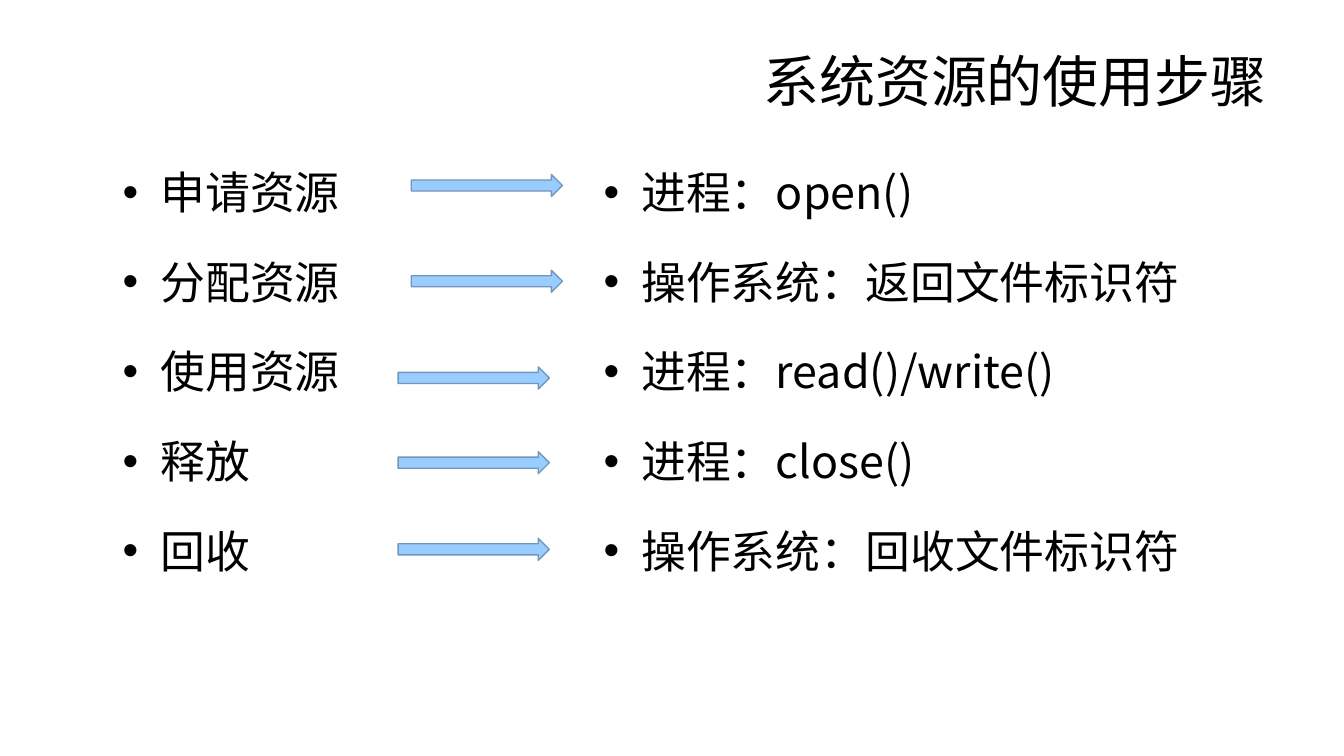
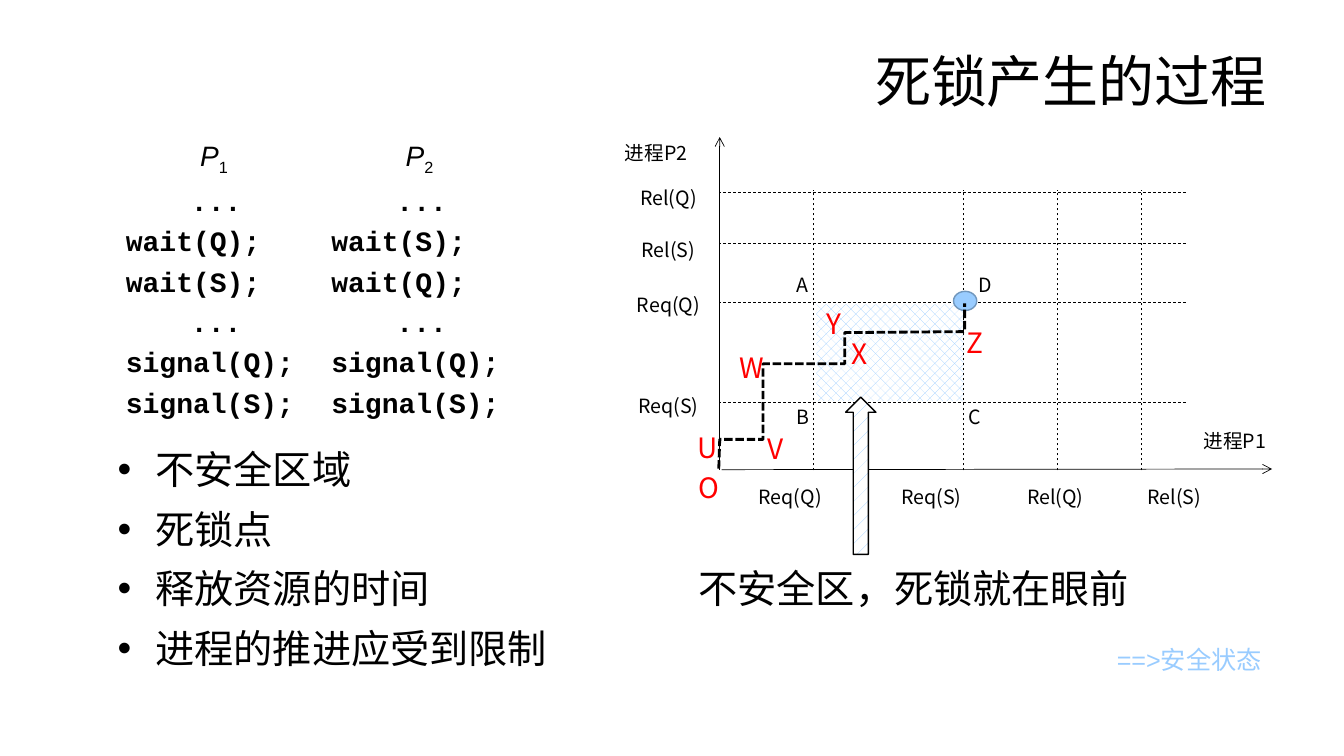
import dataclasses

import lxml.etree
import pptx
import pptx.dml.color
import pptx.enum.dml
import pptx.enum.shapes
import pptx.enum.text
import pptx.oxml.ns
import pptx.util

Pt = pptx.util.Pt
RGB = pptx.dml.color.RGBColor.from_string
SHAPE = pptx.enum.shapes.MSO_SHAPE
DASH = pptx.enum.dml.MSO_LINE
PATTERN = pptx.enum.dml.MSO_PATTERN
ALIGN = pptx.enum.text.PP_ALIGN
ANCHOR = pptx.enum.text.MSO_ANCHOR
qn = pptx.oxml.ns.qn


@dataclasses.dataclass(frozen=True)
class Theme:
    ink: str = "000000"
    paper: str = "FFFFFF"
    accent: str = "99CCFF"
    edge: str = "7197BD"
    alert: str = "FF0000"
    arial: str = "Arial"
    mono: str = "Courier New"
    sans: str = "Noto Sans CJK SC"
    title: int = 40
    large: int = 32
    body: int = 28
    code: int = 20
    note: int = 18
    label: int = 14


class Deck:
    def __init__(self, theme):
        self.theme = theme
        self.deck = pptx.Presentation()
        self.deck.slide_width, self.deck.slide_height = Pt(960), Pt(540)
        self.page = None

    def add_page(self, title):
        self.page = self.deck.slides.add_slide(self.deck.slide_layouts[5])
        box = self.page.shapes.title
        place = {"left": 48, "top": 21.6, "width": 864, "height": 71.3}
        for name, value in place.items():
            setattr(box, name, Pt(value))
        frame = box.text_frame
        frame.auto_size = pptx.enum.text.MSO_AUTO_SIZE.NONE
        frame.vertical_anchor = ANCHOR.MIDDLE
        frame.paragraphs[0].alignment = ALIGN.RIGHT
        self.span(frame.paragraphs[0], title, self.theme.title, self.theme.arial)

    def span(self, para, text, size, font, color=None, **values):
        span = para.add_run()
        span.text = text
        for name, value in {"size": Pt(size), "name": font, **values}.items():
            setattr(span.font, name, value)
        span.font.color.rgb = RGB(color or self.theme.ink)
        asian = lxml.etree.SubElement(span.font._element, qn("a:ea"))
        asian.set("typeface", self.theme.sans)
        return span

    def text_box(self, left, top, width, height):
        box = self.page.shapes.add_textbox(Pt(left), Pt(top), Pt(width), Pt(height))
        box.text_frame.word_wrap = True
        return box.text_frame

    def paragraphs(self, frame, items):
        for index, item in enumerate(items):
            para = frame.add_paragraph() if index else frame.paragraphs[0]
            yield index, para, item

    def bullets(self, place, items, size, pitch):
        for index, para, item in self.paragraphs(self.text_box(*place), items):
            style = para._p.get_or_add_pPr()
            style.set("marL", str(Pt(27)))
            style.set("indent", str(Pt(-27)))
            lxml.etree.SubElement(style, qn("a:buFont")).set("typeface", self.theme.arial)
            lxml.etree.SubElement(style, qn("a:buChar")).set("char", "•")
            para.line_spacing = Pt(pitch)
            para.space_before = Pt(size * 0.2 if index else 0)
            self.span(para, item, size, self.theme.sans)

    def line_of_text(self, place, text, size, font, pitch, color=None):
        para = self.text_box(*place).paragraphs[0]
        para.line_spacing = Pt(pitch)
        self.span(para, text, size, font, color)

    def code(self, place, number, lines):
        theme = self.theme
        for index, para, line in self.paragraphs(self.text_box(*place), ["P", *lines]):
            para.line_spacing = Pt(28.8)
            if line in ("P", "..."):
                para.alignment = ALIGN.CENTER
            if index:
                self.span(para, line, theme.code, theme.mono, bold=True)
            else:
                self.span(para, line, theme.code, theme.arial, italic=True)
                lower = self.span(para, f"{number} ", theme.code, theme.arial)
                lower.font._element.set("baseline", "-25000")

    def label(self, x, y, text, size, color=None):
        frame = self.text_box(x - 37, y - 20, 74, 40)
        for side in ("left", "top", "right", "bottom"):
            setattr(frame, f"margin_{side}", 0)
        frame.vertical_anchor = ANCHOR.MIDDLE
        frame.paragraphs[0].alignment = ALIGN.CENTER
        self.span(frame.paragraphs[0], text, size, self.theme.sans, color)

    def shape(self, kind, place, edge=None, pattern=None):
        shape = self.page.shapes.add_shape(kind, *map(Pt, place))
        shape.shadow.inherit = False
        if pattern is None:
            shape.fill.solid()
        else:
            shape.fill.patterned()
            shape.fill.pattern = pattern
            shape.fill.back_color.rgb = RGB(self.theme.paper)
        shape.fill.fore_color.rgb = RGB(self.theme.accent)
        if edge:
            self.stroke(shape.line, 1, edge)
        else:
            shape.line.fill.background()

    def stroke(self, line, width, color, dash=None):
        line.width = Pt(width)
        line.color.rgb = RGB(color)
        if dash:
            line.dash_style = dash

    def line(self, start, end, dash=None, arrow=False):
        kind = pptx.enum.shapes.MSO_CONNECTOR.STRAIGHT
        line = self.page.shapes.add_connector(kind, *map(Pt, (*start, *end)))
        self.stroke(line.line, 0.5, self.theme.ink, dash)
        if arrow:
            tip = lxml.etree.SubElement(line.line._get_or_add_ln(), qn("a:tailEnd"))
            tip.set("type", "arrow")
        lxml.etree.SubElement(line._element.spPr, qn("a:effectLst"))

    def trail(self, points):
        start, *rest = [(Pt(x), Pt(y)) for x, y in points]
        builder = self.page.shapes.build_freeform(*start)
        builder.add_line_segments(rest, close=False)
        trail = builder.convert_to_shape()
        trail.shadow.inherit = False
        trail.fill.background()
        self.stroke(trail.line, 2, self.theme.ink, DASH.SQUARE_DOT)


def resource_steps(deck):
    deck.add_page("系统资源的使用步骤")
    steps = ["申请资源", "分配资源", "使用资源", "释放", "回收"]
    calls = ["进程：open()", "操作系统：返回文件标识符", "进程：read()/write()",
             "进程：close()", "操作系统：回收文件标识符"]
    deck.bullets((80.6, 95, 349, 390), steps, deck.theme.large, 57.6)
    deck.bullets((424, 95, 453, 390), calls, deck.theme.large, 57.6)
    arrows = [(293.8, 124.6), (293.8, 193), (284.4, 262.1), (284.4, 322.6), (284.4, 384.5)]
    for left, top in arrows:
        deck.shape(SHAPE.RIGHT_ARROW, (left, top, 108, 15.8), deck.theme.edge)


def deadlock_chart(deck):
    theme = deck.theme
    deck.shape(SHAPE.RECTANGLE, (583.2, 217.4, 105.1, 69.1), pattern=PATTERN.PERCENT_30)
    deck.line((515.5, 335.5), (908.6, 335), arrow=True)
    deck.line((514.1, 335.5), (514.1, 97.9), arrow=True)

    columns = [("Req(Q)", 581, 564.5), ("Req(S)", 688.3, 665.3),
               ("Rel(Q)", 755.3, 753.8), ("Rel(S)", 815, 838.8)]
    for text, x, middle in columns:
        deck.line((x, 336), (x, 135.7), DASH.DASH)
        deck.label(middle, 354.6, text, theme.label)

    rows = [("Rel(Q)", 137.5, 141.5), ("Rel(S)", 173.5, 178.2),
            ("Req(Q)", 216, 217.8), ("Req(S)", 287.3, 289.8)]
    for text, y, middle in rows:
        deck.line((847, y), (513.8, y), DASH.DASH)
        deck.label(477.5, middle, text, theme.label)

    deck.shape(SHAPE.OVAL, (681.1, 208.1, 16.6, 13.7), theme.edge)
    corners = [("进程P1", 882, 315), ("进程P2", 468.7, 109), ("A", 573.5, 203),
               ("B", 573.5, 297.7), ("C", 696.6, 297.7), ("D", 703.8, 203)]
    for text, x, y in corners:
        deck.label(x, y, text, theme.label)

    deck.trail([(513.4, 334.8), (514.1, 313.9), (545, 313.9), (545, 259.9),
                (603.4, 259.9), (603.4, 237.6), (689, 236.9), (689, 216.7)])
    deck.shape(SHAPE.UP_ARROW, (604.1, 283.7, 21.6, 112.3), theme.ink, PATTERN.PERCENT_5)
    states = [("O", 506.5, 348.1), ("U", 505.1, 319.3), ("V", 554, 320.4),
              ("W", 536.8, 262.4), ("X", 613.8, 252.4), ("Y", 595.8, 230.8),
              ("Z", 696.6, 244.4)]
    for text, x, y in states:
        deck.label(x, y, text, theme.code, theme.alert)


def deadlock_process(deck):
    theme = deck.theme
    deck.add_page("死锁产生的过程")
    points = ["不安全区域", "死锁点", "释放资源的时间", "进程的推进应受到限制"]
    deck.bullets((77, 311.3, 348, 174), points, theme.body, 37)

    release = ["...", "signal(Q);", "signal(S);"]
    waits = [["wait(Q);", "wait(S);"], ["wait(S);", "wait(Q);"]]
    for index, wait in enumerate(waits):
        place = (82.8 + 146.8 * index, 94, 143.3, 211)
        deck.code(place, index + 1, ["...", *wait, *release])

    deadlock_chart(deck)
    deck.line_of_text((790.6, 457, 118, 50), "==>安全状态", theme.note, theme.arial,
                      21.4, theme.accent)
    deck.line_of_text((491.8, 396, 358.6, 41), "不安全区，死锁就在眼前",
                      theme.body, theme.sans, 37)


def main():
    deck = Deck(Theme())
    resource_steps(deck)
    deadlock_process(deck)
    deck.deck.save("out.pptx")


if __name__ == "__main__":
    main()
